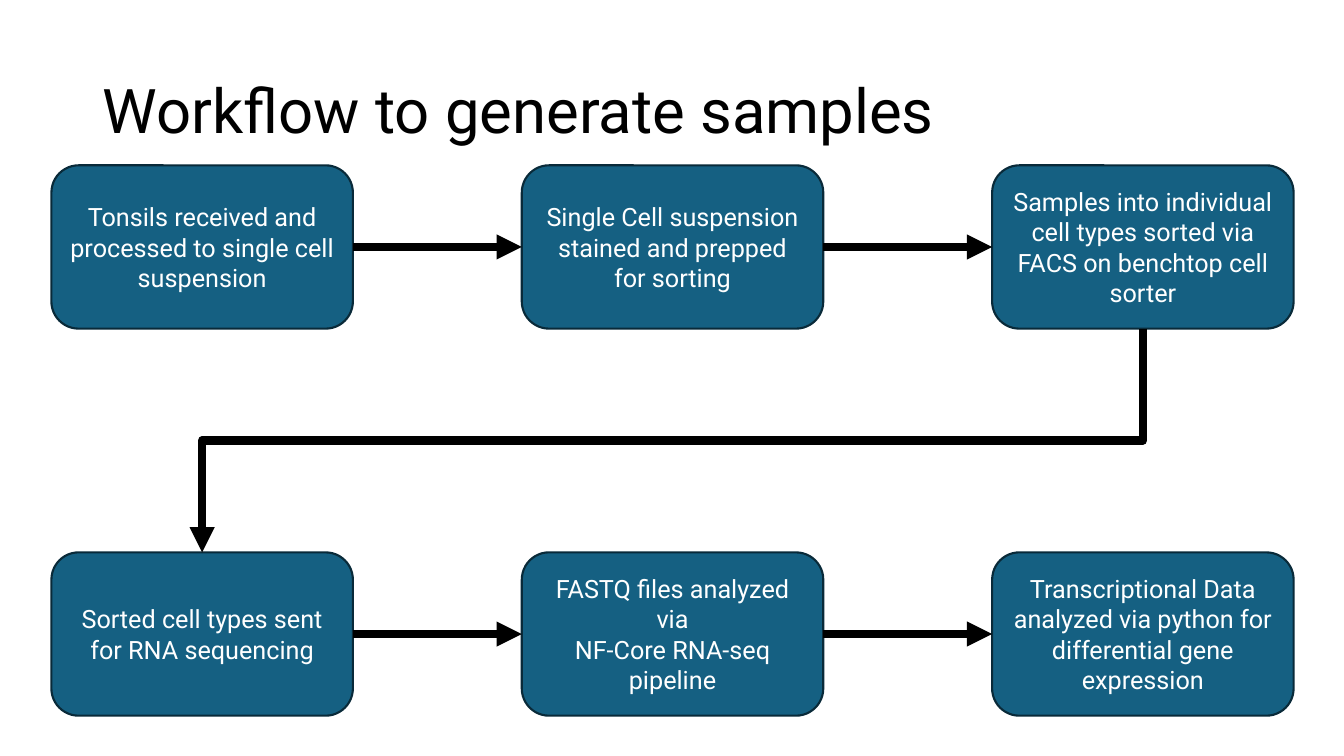
from lxml import etree
from pptx import Presentation
from pptx.dml.color import RGBColor
from pptx.enum.shapes import MSO_CONNECTOR, MSO_SHAPE
from pptx.enum.text import MSO_ANCHOR, PP_ALIGN
from pptx.oxml.ns import qn
from pptx.util import Inches, Pt

ROUNDED = MSO_SHAPE.ROUNDED_RECTANGLE
STRAIGHT, ELBOW = MSO_CONNECTOR.STRAIGHT, MSO_CONNECTOR.ELBOW
MIDDLE = MSO_ANCHOR.MIDDLE
LEFT, CENTER = PP_ALIGN.LEFT, PP_ALIGN.CENTER
TITLE_ONLY = 5
LEFT_SITE, RIGHT_SITE = 1, 3

COLORS = {"step": "156082", "border": "092A39", "light": "FFFFFF", "dark": "000000"}
FONT = "Roboto"
STEP_WIDTH, STEP_HEIGHT = 2.99, 1.62
ROWS = [
    [
        "Tonsils received and processed to single cell suspension",
        "Single Cell suspension stained and prepped for sorting",
        "Samples into individual cell types sorted via FACS on benchtop cell sorter",
    ],
    [
        "Sorted cell types sent for RNA sequencing",
        "FASTQ files analyzed via\nNF-Core RNA-seq pipeline",
        "Transcriptional Data analyzed via python for differential gene expression",
    ],
]


def color(name):
    return RGBColor.from_string(COLORS[name])


def write_text(shape, text, size, color_name, align, line_spacing=None):
    frame = shape.text_frame
    frame.text = text
    frame.word_wrap = True
    frame.vertical_anchor = MIDDLE
    for paragraph in frame.paragraphs:
        paragraph.alignment = align
        paragraph.line_spacing = line_spacing
        for run in paragraph.runs:
            run.font.name = FONT
            run.font.size = Pt(size)
            run.font.color.rgb = color(color_name)


def add_title(slide, left, top, width, height):
    title = slide.shapes.title
    title.left, title.top = Inches(left), Inches(top)
    title.width, title.height = Inches(width), Inches(height)
    write_text(title, "Workflow to generate samples", size=44, color_name="dark",
               align=LEFT, line_spacing=0.9)


def add_step(slide, text, left, top):
    step = slide.shapes.add_shape(ROUNDED, Inches(left), Inches(top),
                                  Inches(STEP_WIDTH), Inches(STEP_HEIGHT))
    step.shadow.inherit = False
    step.fill.solid()
    step.fill.fore_color.rgb = color("step")
    step.line.color.rgb = color("border")
    step.line.width = Pt(1.5)
    write_text(step, text, size=18, color_name="light", align=CENTER)
    return step


def add_arrow(slide, kind, start_x, start_y, end_x, end_y):
    arrow = slide.shapes.add_connector(kind, start_x, start_y, end_x, end_y)
    arrow.line.color.rgb = color("dark")
    arrow.line.width = Pt(6)
    line = arrow.line._get_or_add_ln()
    etree.SubElement(line, qn("a:tailEnd"), type="triangle")
    etree.SubElement(arrow._element.spPr, qn("a:effectLst"))
    return arrow


def link_across(slide, source, target):
    middle = source.top + source.height // 2
    arrow = add_arrow(slide, STRAIGHT, source.left + source.width, middle, target.left, middle)
    arrow.begin_connect(source, RIGHT_SITE)
    arrow.end_connect(target, LEFT_SITE)


def link_down(slide, source, target):
    start_x = source.left + source.width // 2
    end_x = target.left + target.width // 2
    start_y, end_y = source.top + source.height, target.top
    center_x, center_y = (start_x + end_x) // 2, (start_y + end_y) // 2
    half_drop, half_span = (end_y - start_y) // 2, (start_x - end_x) // 2
    arrow = add_arrow(slide, ELBOW, center_x - half_drop, center_y - half_span,
                      center_x + half_drop, center_y + half_span)
    arrow._element.spPr.find(qn("a:xfrm")).set("rot", str(90 * 60000))


def add_workflow(slide, left, top, width, height):
    column_pitch = (width - STEP_WIDTH) / (len(ROWS[0]) - 1)
    row_pitch = (height - STEP_HEIGHT) / (len(ROWS) - 1)
    rows = [
        [add_step(slide, text, left + column * column_pitch, top + row * row_pitch)
         for column, text in enumerate(texts)]
        for row, texts in enumerate(ROWS)
    ]
    for upper, lower in zip(rows, rows[1:]):
        link_down(slide, upper[-1], lower[0])
    for steps in rows:
        for source, target in zip(steps, steps[1:]):
            link_across(slide, source, target)


def main():
    presentation = Presentation()
    presentation.slide_width = Inches(13.33)
    presentation.slide_height = Inches(7.5)
    slide = presentation.slides.add_slide(presentation.slide_layouts[TITLE_ONLY])
    add_title(slide, 0.92, 0.4, 11.5, 1.45)
    add_workflow(slide, 0.51, 1.64, 12.32, 5.46)
    presentation.save("out.pptx")


if __name__ == "__main__":
    main()
